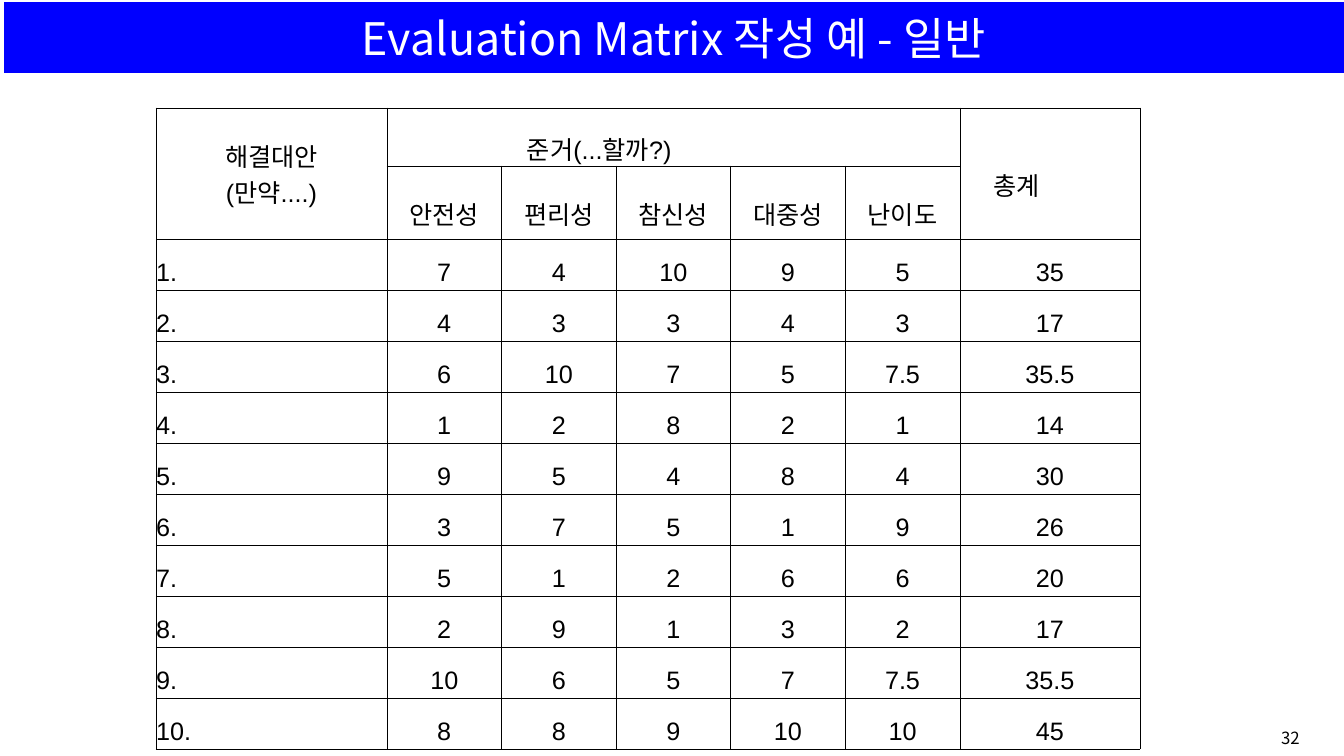
from dataclasses import dataclass

from lxml.etree import SubElement
from pptx import Presentation
from pptx.dml.color import RGBColor
from pptx.enum.shapes import MSO_SHAPE
from pptx.enum.text import MSO_ANCHOR, PP_ALIGN as ALIGN
from pptx.oxml.ns import qn
from pptx.util import Emu, Pt

EMU_PER_PX = 914400 / 100.8


def px(length):
    return Emu(round(length * EMU_PER_PX))


@dataclass(frozen=True)
class Theme:
    banner: str = "0000FF"
    light: str = "FFFFFF"
    ink: str = "000000"
    title_size: int = 32
    table_size: int = 18
    number_size: int = 12
    latin: str = "Arial"
    korean: str = "Noto Sans CJK KR"
    banner_line: float = 3
    grid_line: float = 0.43
    table_spacing: float = 1.6


class SlideBuilder:
    def __init__(self, page, theme):
        self.page = page
        self.theme = theme

    def set_text(self, frame, text, size, color, font, align=ALIGN.CENTER, spacing=None):
        frame.text = text
        for para in frame.paragraphs:
            para.alignment = align
            if spacing:
                para.line_spacing = spacing
            for span in para.runs:
                span.font.size = Pt(size)
                span.font.name = font
                span.font.color.rgb = RGBColor.from_string(color)
                east_asian = SubElement(span.font._element, qn("a:ea"))
                east_asian.set("typeface", self.theme.korean)

    def banner(self, text, left, top, width, height):
        theme = self.theme
        shape = self.page.shapes.add_shape(
            MSO_SHAPE.RECTANGLE, px(left), px(top), px(width), px(height))
        shape.shadow.inherit = False
        shape.fill.solid()
        shape.fill.fore_color.rgb = RGBColor.from_string(theme.banner)
        shape.line.color.rgb = RGBColor.from_string(theme.light)
        shape.line.width = Pt(theme.banner_line)
        shape.text_frame.vertical_anchor = MSO_ANCHOR.MIDDLE
        self.set_text(shape.text_frame, text, theme.title_size, theme.light, theme.korean)

    def label(self, text, left, top, width, height):
        theme = self.theme
        box = self.page.shapes.add_textbox(px(left), px(top), px(width), px(height))
        box.text_frame.word_wrap = False
        self.set_text(box.text_frame, text, theme.number_size, theme.ink, theme.korean)

    def table(self, left, top, widths, heights):
        table = self.page.shapes.add_table(
            len(heights), len(widths), px(left), px(top),
            px(sum(widths)), px(sum(heights))).table
        table.first_row = table.horz_banding = False
        for column, width in zip(table.columns, widths):
            column.width = px(width)
        for row, height in zip(table.rows, heights):
            row.height = px(height)
        for cell in table.iter_cells():
            cell.margin_left = cell.margin_right = 0
            cell.margin_top = cell.margin_bottom = 0
            cell.vertical_anchor = MSO_ANCHOR.MIDDLE
            self.borders(cell)
            cell.fill.background()
        return table

    def borders(self, cell):
        properties = cell._tc.get_or_add_tcPr()
        for side in ("a:lnL", "a:lnR", "a:lnT", "a:lnB"):
            line = SubElement(properties, qn(side), w=str(Pt(self.theme.grid_line)))
            fill = SubElement(line, qn("a:solidFill"))
            SubElement(fill, qn("a:srgbClr"), val=self.theme.ink)

    def cell(self, cell, text, align=ALIGN.CENTER, indent=0, spaced=True):
        theme = self.theme
        cell.margin_left = px(indent)
        self.set_text(cell.text_frame, text, theme.table_size, theme.ink, theme.latin,
                      align, theme.table_spacing if spaced else None)


CRITERIA = ["안전성", "편리성", "참신성", "대중성", "난이도"]
SCORES = [
    ("7", "4", "10", "9", "5", "35"),
    ("4", "3", "3", "4", "3", "17"),
    ("6", "10", "7", "5", "7.5", "35.5"),
    ("1", "2", "8", "2", "1", "14"),
    ("9", "5", "4", "8", "4", "30"),
    ("3", "7", "5", "1", "9", "26"),
    ("5", "1", "2", "6", "6", "20"),
    ("2", "9", "1", "3", "2", "17"),
    ("10", "6", "5", "7", "7.5", "35.5"),
    ("8", "8", "9", "10", "10", "45"),
]
CRITERIA_WIDTH = 573


def main():
    deck = Presentation()
    deck.slide_width, deck.slide_height = px(1344), px(756)
    builder = SlideBuilder(deck.slides.add_slide(deck.slide_layouts[6]), Theme())

    # Page number and title banner
    builder.label("32", 1268, 723, 45, 30)
    builder.banner("Evaluation Matrix 작성 예 - 일반", 2, 0, 1344, 75)

    # Matrix grid
    count = len(CRITERIA)
    matrix = builder.table(156, 108,
                           [231] + [CRITERIA_WIDTH / count] * count + [180],
                           [58, 73] + [51] * len(SCORES))

    # Two-level header
    matrix.cell(0, 0).merge(matrix.cell(1, 0))
    matrix.cell(0, 1).merge(matrix.cell(0, count))
    matrix.cell(0, count + 1).merge(matrix.cell(1, count + 1))
    builder.cell(matrix.cell(0, 0), "해결대안\n(만약....)", spaced=False)
    builder.cell(matrix.cell(0, 1), "준거(...할까?)", ALIGN.LEFT, indent=140)
    builder.cell(matrix.cell(0, count + 1), "총계", ALIGN.JUSTIFY, indent=34)
    for column, criterion in enumerate(CRITERIA, 1):
        builder.cell(matrix.cell(1, column), criterion)

    # Scores and totals for each alternative
    for number, scores in enumerate(SCORES, 1):
        builder.cell(matrix.cell(number + 1, 0), f"{number}.", ALIGN.JUSTIFY)
        for column, score in enumerate(scores, 1):
            builder.cell(matrix.cell(number + 1, column), score)

    deck.save("out.pptx")


if __name__ == "__main__":
    main()
